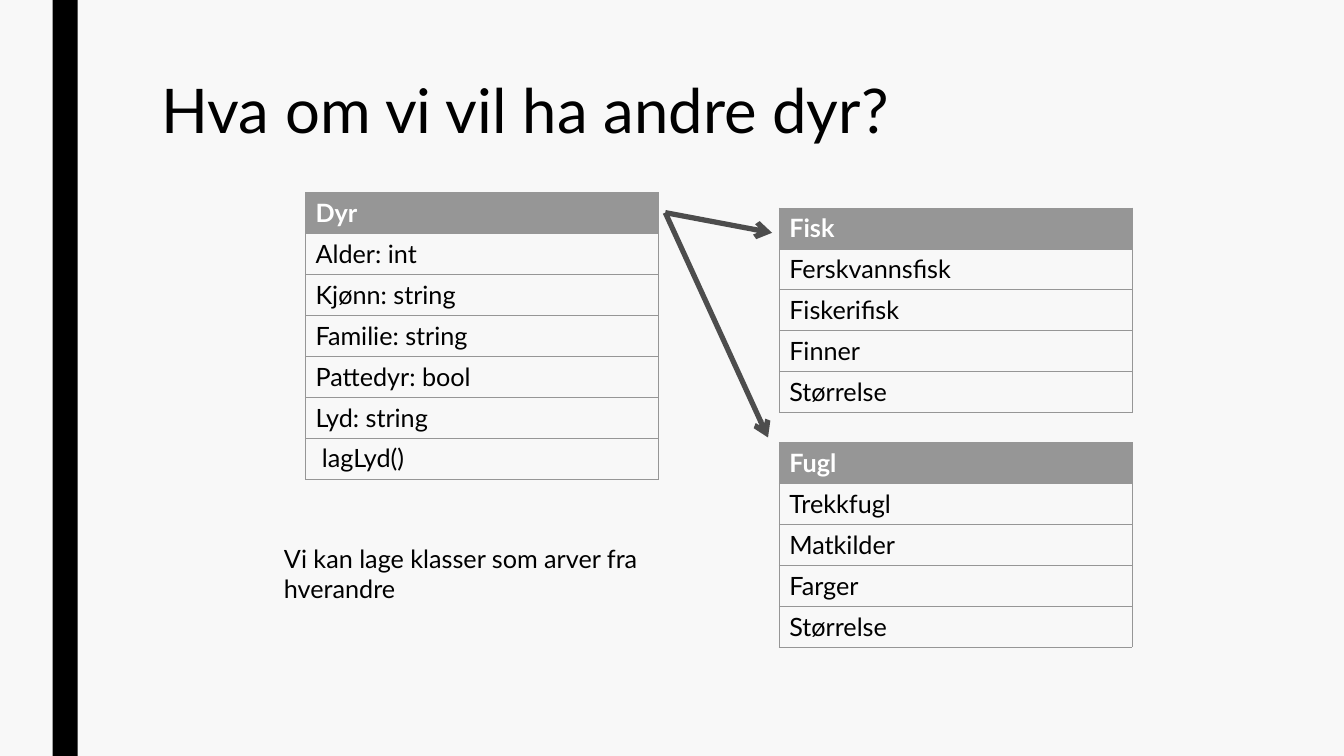
import pptx
import pptx.util
import pptx.dml.color
import pptx.enum.shapes
import pptx.enum.text
import pptx.oxml
import pptx.oxml.ns

Pt = pptx.util.Pt
FONT = "Lato"
BLACK, WHITE, GREY, DARK_GREY, PAPER = "000000", "FFFFFF", "969696", "4D4D4D", "F8F8F8"
ROW_HEIGHT = 29.23
CLASS_WIDTH = 252

# Each class: left, top, name and members
CLASSES = [
    (218.2, 137.5, "Dyr", ["Alder: int", "Kjønn: string", "Familie: string",
                           "Pattedyr: bool", "Lyd: string", " lagLyd()"]),
    (556.6, 148.5, "Fisk", ["Ferskvannsfisk", "Fiskerifisk", "Finner", "Størrelse"]),
    (556.6, 316.1, "Fugl", ["Trekkfugl", "Matkilder", "Farger", "Størrelse"]),
]
ARROW_START = (475.2, 151.9)
ARROW_ENDS = [(551.5, 166.3), (548.6, 312.5)]


def color(value):
    return pptx.dml.color.RGBColor.from_string(value)


def set_values(target, values):
    for name, value in values.items():
        setattr(target, name, value)


def place(shape, box):
    names = ("left", "top", "width", "height")
    set_values(shape, {name: Pt(length) for name, length in zip(names, box)})


def write(frame, text, size, ink=BLACK, bold=False):
    para = frame.paragraphs[0]
    para.alignment = pptx.enum.text.PP_ALIGN.LEFT
    span = para.add_run()
    span.text = text
    set_values(span.font, {"name": FONT, "size": Pt(size), "bold": bold})
    span.font.color.rgb = color(ink)
    return para


def add_element(parent, tag, position=None, content="", **attributes):
    pairs = "".join(f' {name}="{value}"' for name, value in attributes.items())
    namespace = pptx.oxml.ns.nsdecls("a")
    element = pptx.oxml.parse_xml(f"<a:{tag} {namespace}{pairs}>{content}</a:{tag}>")
    parent.insert(len(parent) if position is None else position, element)


def add_side_bar(page, box):
    bar = page.shapes.add_shape(pptx.enum.shapes.MSO_SHAPE.RECTANGLE, *map(Pt, box))
    bar.shadow.inherit = False
    bar.fill.solid()
    bar.fill.fore_color.rgb = color(BLACK)
    bar.line.fill.background()


def add_title(page, box, text):
    title = page.shapes.title
    place(title, box)
    set_values(title.text_frame, {
        "word_wrap": True,
        "vertical_anchor": pptx.enum.text.MSO_ANCHOR.TOP,
        "auto_size": pptx.enum.text.MSO_AUTO_SIZE.NONE,
    })
    write(title.text_frame, text, 44).line_spacing = 0.89


def add_class_table(page, left, top, name, members):
    rows = [name, *members]
    frame = page.shapes.add_table(len(rows), 1, Pt(left), Pt(top),
                                  Pt(CLASS_WIDTH), Pt(ROW_HEIGHT * len(rows)))
    table = frame.table
    table.horz_banding = False
    for index, text in enumerate(rows):
        table.rows[index].height = Pt(ROW_HEIGHT)
        cell = table.cell(index, 0)
        is_header = index == 0
        write(cell.text_frame, text, 18, WHITE if is_header else BLACK, is_header)
        if is_header:
            cell.fill.solid()
            cell.fill.fore_color.rgb = color(GREY)
        else:
            cell.fill.background()
        # Cell borders go ahead of the fill
        properties = cell._tc.get_or_add_tcPr()
        line_fill = f'<a:solidFill><a:srgbClr val="{GREY}"/></a:solidFill>'
        for position, side in enumerate("LRTB"):
            add_element(properties, f"ln{side}", position, line_fill, w=int(Pt(0.5)))


def add_arrow(page, start, end):
    arrow = page.shapes.add_connector(pptx.enum.shapes.MSO_CONNECTOR.STRAIGHT,
                                      *map(Pt, (*start, *end)))
    arrow.line.width = Pt(3.75)
    arrow.line.color.rgb = color(DARK_GREY)
    add_element(arrow.line._get_or_add_ln(), "tailEnd", type="arrow")
    add_element(arrow._element.spPr, "effectLst")


def add_note(page, box, text):
    note = page.shapes.add_textbox(*map(Pt, box))
    note.text_frame.word_wrap = True
    write(note.text_frame, text, 18)


def build_inheritance_page(deck):
    page = deck.slides.add_slide(deck.slide_layouts[5])
    page.background.fill.solid()
    page.background.fill.fore_color.rgb = color(PAPER)
    # Frame and title
    add_side_bar(page, (37.5, 0, 18, 540))
    add_title(page, (108, 54, 756, 116.6), "Hva om vi vil ha andre dyr?")
    # Classes and inheritance arrows
    for entry in CLASSES:
        add_class_table(page, *entry)
    for end in ARROW_ENDS:
        add_arrow(page, ARROW_START, end)
    # Explanation
    add_note(page, (195.8, 384.5, 316, 51), "Vi kan lage klasser som arver fra hverandre")


def main():
    deck = pptx.Presentation()
    set_values(deck, {"slide_width": Pt(960), "slide_height": Pt(540)})
    build_inheritance_page(deck)
    deck.save("out.pptx")


if __name__ == "__main__":
    main()
